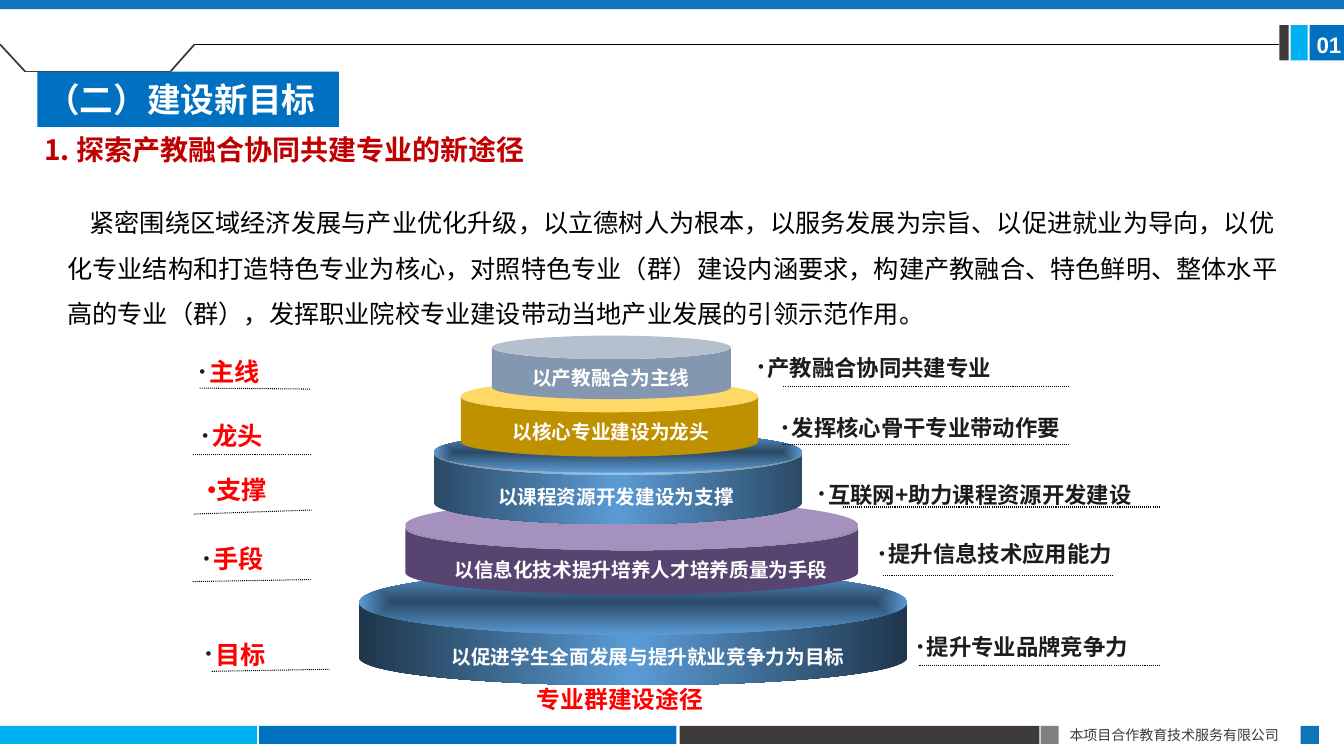
from typing import NamedTuple
from lxml.etree import SubElement
from pptx import Presentation
from pptx.dml.color import RGBColor
from pptx.enum.dml import MSO_LINE
from pptx.enum.shapes import MSO_CONNECTOR, MSO_SHAPE
from pptx.enum.text import MSO_ANCHOR, MSO_AUTO_SIZE, PP_ALIGN
from pptx.oxml import parse_xml
from pptx.oxml.ns import nsdecls, qn
from pptx.util import Inches, Pt

FACE = "Noto Sans CJK SC"
BLUE, CYAN, DARK, DEEP = "0070C0", "00B0F0", "3E3A39", "1074BB"
RED, INK, WHITE, BLACK = "FF0000", "1C1C1C", "FFFFFF", "000000"
SKY = "5B9BD5"


class Box(NamedTuple):
    left: float
    top: float
    width: float
    height: float


class Bar(NamedTuple):
    box: Box
    color: str


class Rule(NamedTuple):
    start: tuple[float, float]
    end: tuple[float, float]


class Tier(NamedTuple):
    can: Box
    bend: float
    side: str
    lid: Box | None
    top: str
    label: Box
    text: str


class Note(NamedTuple):
    box: Box
    text: str
    size: int
    color: str
    lead: bool = True


BARS = [
    Bar(Box(0, 7.2, 2.55, 0.18), CYAN),
    Bar(Box(2.57, 7.2, 4.14, 0.18), BLUE),
    Bar(Box(6.74, 7.2, 3.57, 0.18), DARK),
    Bar(Box(10.32, 7.2, 0.18, 0.18), "808080"),
    Bar(Box(12.9, 7.2, 0.18, 0.18), DEEP),
    Bar(Box(12.99, 0.25, 0.34, 0.35), BLUE),
    Bar(Box(12.8, 0.25, 0.17, 0.35), CYAN),
    Bar(Box(12.69, 0.25, 0.09, 0.35), DARK),
    Bar(Box(0, 0, 13.33, 0.09), DEEP),
]
FRAME = [
    Rule((0.25, 0.71), (1.69, 0.71)),
    Rule((1.69, 0.71), (1.93, 0.44)),
    Rule((0.25, 0.71), (0, 0.44)),
]
TIERS = [
    Tier(Box(3.56, 5.7, 5.44, 1.1), 0.5, "1F364B", Box(3.56, 5.65, 5.44, 0.65), "2A4A68",
         Box(4.01, 6.35, 4.84, 0.34), "以促进学生全面发展与提升就业竞争力为目标"),
    Tier(Box(4.02, 5.02, 4.49, 0.88), 0.5, "584470", Box(4.02, 4.96, 4.49, 0.5), "A591BD",
         Box(3.68, 5.49, 5.36, 0.34), "以信息化技术提升培养人才培养质量为手段"),
    Tier(Box(4.3, 4.28, 3.66, 0.92), 0.47, "2B4A66", Box(4.3, 4.28, 3.66, 0.41), "2B4A66",
         Box(4.37, 4.76, 3.48, 0.34), "以课程资源开发建设为支撑"),
    Tier(Box(4.57, 3.79, 2.95, 0.74), 0.4, "BF9000", Box(4.57, 3.77, 2.95, 0.32), "FFD966",
         Box(4.46, 4.12, 3.2, 0.34), "以核心专业建设为龙头"),
    Tier(Box(4.88, 3.33, 2.37, 0.63), 0.37, "8497B0", None, "",
         Box(4.53, 3.58, 3.06, 0.34), "以产教融合为主线"),
]
GLOSS = {"1F364B", "2A4A68", "2B4A66"}
NOTES = [
    Note(Box(1.88, 3.49, 0.95, 0.4), "主线", 18, RED),
    Note(Box(1.91, 4.12, 0.95, 0.4), "龙头", 18, RED),
    Note(Box(1.96, 4.66, 0.9, 0.4), "支撑", 18, RED, False),
    Note(Box(1.92, 5.34, 0.95, 0.4), "手段", 18, RED),
    Note(Box(1.94, 6.29, 0.95, 0.4), "目标", 18, RED),
    Note(Box(7.42, 3.46, 2.68, 0.37), "产教融合协同共建专业", 16, INK),
    Note(Box(7.66, 4.06, 3.13, 0.37), "发挥核心骨干专业带动作要", 16, INK),
    Note(Box(8.02, 4.72, 3.53, 0.37), "互联网+助力课程资源开发建设", 16, INK),
    Note(Box(8.62, 5.31, 2.68, 0.37), "提升信息技术应用能力", 16, INK),
    Note(Box(9, 6.23, 2.46, 0.37), "提升专业品牌竞争力", 16, INK),
]
DOTS = [
    Rule((1.98, 3.85), (3.08, 3.86)), Rule((1.91, 4.51), (3.08, 4.51)),
    Rule((1.92, 5.1), (3.09, 5.06)), Rule((1.91, 5.77), (3.08, 5.75)),
    Rule((2.1, 6.66), (3.27, 6.64)), Rule((7.77, 3.83), (10.61, 3.83)),
    Rule((7.77, 4.41), (10.61, 4.41)), Rule((8.36, 5.03), (11.51, 5.03)),
    Rule((8.76, 5.71), (11.04, 5.71)), Rule((9.12, 6.6), (11.51, 6.6)),
]
BODY = ("紧密围绕区域经济发展与产业优化升级，以立德树人为根本，以服务发展为宗旨、以促进就业为导向，"
        "以优化专业结构和打造特色专业为核心，对照特色专业（群）建设内涵要求，构建产教融合、特色鲜明、"
        "整体水平高的专业（群），发挥职业院校专业建设带动当地产业发展的引领示范作用。")

deck = Presentation()
deck.slide_width, deck.slide_height = Inches(13.33), Inches(7.5)
slide = deck.slides.add_slide(deck.slide_layouts[6])


def tint(target, color: str) -> None:
    target.fore_color.rgb = RGBColor.from_string(color)


def style(font, size: int, color: str, bold: bool = False, face: str = FACE) -> None:
    font.size, font.bold, font.name = Pt(size), bold, face
    font.fill.solid()
    tint(font.fill, color)
    SubElement(font._rPr, qn("a:ea"), typeface=face)


def draw(kind: MSO_SHAPE, box: Box, color: str):
    shape = slide.shapes.add_shape(kind, *map(Inches, box))
    shape.shadow.inherit = False
    shape.line.fill.background()
    shape.fill.solid()
    tint(shape.fill, color)
    return shape


def shade(shape, stops: list[tuple[int, str]], mode: str) -> None:
    marks = "".join(f'<a:gs pos="{spot * 1000}"><a:srgbClr val="{color}"/></a:gs>'
                    for spot, color in stops)
    old = shape._element.spPr.find(qn("a:solidFill"))
    new = parse_xml(f'<a:gradFill {nsdecls("a")} rotWithShape="1"><a:gsLst>{marks}</a:gsLst>{mode}</a:gradFill>')
    old.getparent().replace(old, new)


def rule(item: Rule, color: str, width: float, dots: bool = False) -> None:
    line = slide.shapes.add_connector(MSO_CONNECTOR.STRAIGHT, *map(Inches, item.start + item.end))
    SubElement(line._element.spPr, qn("a:effectLst"))
    line.line.width = Pt(width)
    line.line.fill.solid()
    tint(line.line.fill, color)
    if dots:
        line.line.dash_style = MSO_LINE.ROUND_DOT


def write(box: Box, text: str, size: int, color: str, bold: bool = False,
          align: PP_ALIGN = PP_ALIGN.LEFT, face: str = FACE):
    frame = slide.shapes.add_textbox(*map(Inches, box)).text_frame
    frame.word_wrap = True
    para = frame.paragraphs[0]
    para.text, para.alignment = text, align
    style(para.font, size, color, bold, face)
    return para


def jot(note: Note) -> None:
    frame = slide.shapes.add_textbox(*map(Inches, note.box)).text_frame
    frame.word_wrap = False
    frame.auto_size = MSO_AUTO_SIZE.SHAPE_TO_FIT_TEXT
    para = frame.paragraphs[0]
    props = para._p.get_or_add_pPr()
    props.set("marL", "0")
    props.set("indent", str(-Inches(0.19)))
    SubElement(props, qn("a:buFont"), typeface="Arial")
    SubElement(props, qn("a:buChar"), char="•")
    if note.lead:
        gap = para.add_run()
        gap.text = " "
        style(gap.font, 12, INK)
    run = para.add_run()
    run.text = note.text
    style(run.font, note.size, note.color, True)


def stack(tier: Tier) -> None:
    can = draw(MSO_SHAPE.CAN, tier.can, tier.side)
    can.adjustments[0] = tier.bend
    if tier.side in GLOSS:
        shade(can, [(0, tier.side), (50, SKY), (100, tier.side)], '<a:lin ang="0" scaled="1"/>')
    if tier.lid:
        lid = draw(MSO_SHAPE.OVAL, tier.lid, tier.top)
        if tier.top in GLOSS:
            shade(lid, [(0, tier.top), (100, SKY)],
                  '<a:path path="shape"><a:fillToRect l="50000" t="50000" r="50000" b="50000"/></a:path>')
    write(tier.label, tier.text, 14, WHITE, True, PP_ALIGN.CENTER)


def main() -> None:
    for bar in BARS:
        draw(MSO_SHAPE.RECTANGLE, *bar)
    for edge in FRAME:
        rule(edge, DARK, 1.25)
    rule(Rule((1.93, 0.44), (12.69, 0.44)), BLACK, 0.5)
    write(Box(10.51, 7.16, 2.4, 0.27), "本项目合作教育技术服务有限公司", 10, DARK)
    write(Box(12.96, 0.26, 0.5, 0.37), "01", 16, WHITE, True, face="Arial")
    for tier in TIERS:
        stack(tier)
    for dot in DOTS:
        rule(dot, BLACK, 0.75, True)
    for note in NOTES:
        jot(note)
    write(Box(4.04, 6.74, 4.22, 0.39), "专业群建设途径", 17, RED, True, PP_ALIGN.CENTER)
    title = draw(MSO_SHAPE.RECTANGLE, Box(0.37, 0.71, 2.99, 0.55), BLUE).text_frame
    title.margin_left = title.margin_right = Inches(0.09)
    title.vertical_anchor = MSO_ANCHOR.MIDDLE
    head = title.paragraphs[0]
    head.text, head.alignment = "（二）建设新目标", PP_ALIGN.LEFT
    style(head.font, 24, WHITE, True)
    body = write(Box(0.57, 1.86, 12.36, 1.46), BODY, 18, BLACK)
    body.line_spacing = 1.5
    body._p.get_or_add_pPr().set("indent", str(Inches(0.22)))
    write(Box(0.34, 1.27, 5.27, 0.44), "1. 探索产教融合协同共建专业的新途径", 20, "C00000", True)
    deck.save("out.pptx")


if __name__ == "__main__":
    main()
